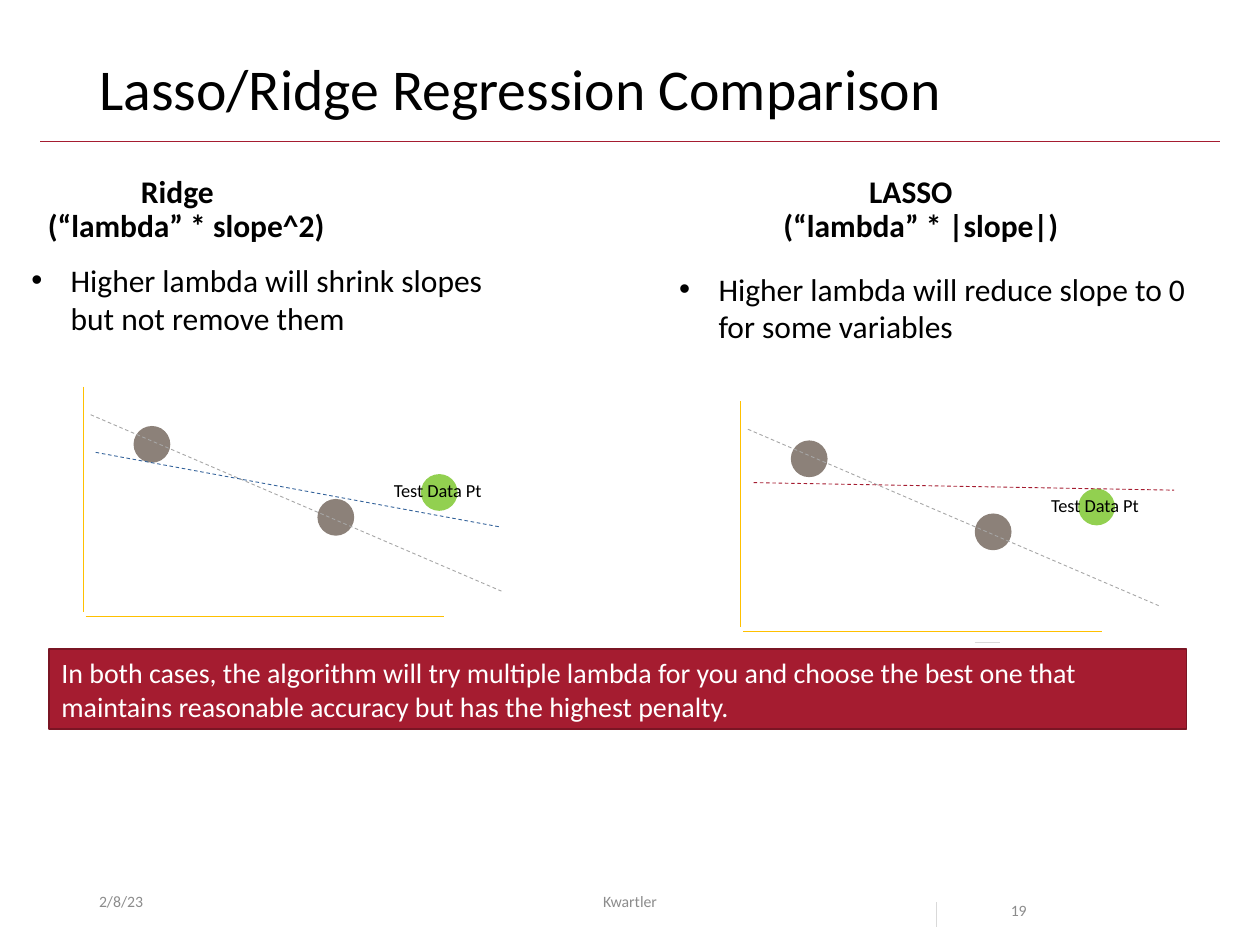
"""Build the Lasso and Ridge regression comparison slide."""
from lxml import etree
from pptx import Presentation
from pptx.dml.color import RGBColor
from pptx.enum.dml import MSO_LINE
from pptx.enum.shapes import MSO_CONNECTOR, MSO_SHAPE
from pptx.enum.text import MSO_ANCHOR, PP_ALIGN
from pptx.oxml.ns import qn
from pptx.util import Pt

prs = Presentation()
prs.slide_width, prs.slide_height = Pt(720), Pt(540)
s = prs.slides.add_slide(prs.slide_layouts[5])


def color(value):
    return RGBColor.from_string(value)


def write(sp, text, size=18, fill="000000", bold=False, align=PP_ALIGN.LEFT,
          anchor=MSO_ANCHOR.TOP, wrap=True, spacing=None, bullet=False):
    tf = sp.text_frame
    tf.word_wrap, tf.vertical_anchor = wrap, anchor
    p = tf.paragraphs[0]
    p.alignment, p.line_spacing = align, spacing
    r = p.add_run()
    r.text = text
    r.font.name, r.font.size, r.font.bold = "Calibri", Pt(size), bold
    r.font.color.rgb = color(fill)
    if bullet:
        pPr = p._p.get_or_add_pPr()
        pPr.set("marL", str(Pt(22.5)))
        pPr.set("indent", str(-Pt(22.5)))
        etree.SubElement(pPr, qn("a:buFont")).set("typeface", "Arial")
        etree.SubElement(pPr, qn("a:buChar")).set("char", "•")


def line(x1, y1, x2, y2, fill, dash=False):
    cn = s.shapes.add_connector(MSO_CONNECTOR.STRAIGHT, Pt(x1), Pt(y1), Pt(x2), Pt(y2))
    cn.line.color.rgb, cn.line.width = color(fill), Pt(0.5)
    if dash:
        cn.line.dash_style = MSO_LINE.DASH
    etree.SubElement(cn._element.spPr, qn("a:effectLst"))


title = s.shapes.title
title.left, title.top, title.width, title.height = Pt(49.5), Pt(28.8), Pt(621), Pt(46.8)
write(title, "Lasso/Ridge Regression Comparison", size=33, spacing=0.9,
      anchor=MSO_ANCHOR.MIDDLE)
line(23, 80.6, 697, 80.6, "A51C30")

footer = dict(size=9, fill="8C8C8C")
heading = dict(bold=True, wrap=False)
texts = [
    ("2/8/23", 49.5, 500.5, 162, 28.8, dict(footer, anchor=MSO_ANCHOR.MIDDLE)),
    ("Kwartler", 238.5, 500.5, 243, 28.8,
     dict(footer, anchor=MSO_ANCHOR.MIDDLE, align=PP_ALIGN.CENTER)),
    ("19", 570.5, 500.5, 67.5, 28.8, dict(footer, spacing=2.0)),
    ("Ridge", 73.5, 95, 56, 29, heading),
    ("(“lambda” * slope^2)", 20.3, 114, 174, 29, heading),
    ("LASSO", 489.6, 95, 62.6, 29, heading),
    ("(“lambda” * |slope|)", 440.6, 114, 173, 29, heading),
    ("Higher lambda will shrink slopes but not remove them",
     10.8, 145.5, 288, 51, dict(bullet=True)),
    ("Higher lambda will reduce slope to 0 for some variables",
     381, 150.5, 309, 51, dict(bullet=True)),
]
for text, x, y, w, h, style in texts:
    write(s.shapes.add_textbox(Pt(x), Pt(y), Pt(w), Pt(h)), text, **style)

charts = [
    (0, 0, (54.7, 258.5, 285.1, 301), "33629A"),
    (375.6, 8.3, (430.6, 275.8, 671, 280.1), "A51C30"),
]
for dx, dy, fit, fit_color in charts:
    line(47.5 + dx, 221 + dy, 47.5 + dx, 350 + dy, "FFC000")
    line(49 + dx, 352.5 + dy, 254 + dx, 352.5 + dy, "FFC000")
    for x, y, fill in [(76.3, 243.4, "8C8179"), (181.4, 285.1, "8C8179"),
                       (240.5, 270.9, "92D050")]:
        dot = s.shapes.add_shape(MSO_SHAPE.OVAL, Pt(x + dx), Pt(y + dy), Pt(21), Pt(21))
        dot.shadow.inherit = False
        dot.fill.solid()
        dot.fill.fore_color.rgb = color(fill)
        dot.line.fill.background()
    line(51.8 + dx, 237 + dy, 286.5 + dx, 337.8 + dy, "A6A6A6", dash=True)
    label = s.shapes.add_textbox(Pt(218 + dx), Pt(270.5 + dy), Pt(67), Pt(20))
    write(label, "Test Data Pt", size=10.5, wrap=False)
    line(*fit, fit_color, dash=True)

box = s.shapes.add_shape(MSO_SHAPE.RECTANGLE, Pt(28), Pt(370.8), Pt(650), Pt(46))
box.shadow.inherit = False
box.fill.solid()
box.fill.fore_color.rgb = color("A51C30")
box.line.color.rgb, box.line.width = color("7A1524"), Pt(1)
write(box, "In both cases, the algorithm will try multiple lambda for you and choose the "
      "best one that maintains reasonable accuracy but has the highest penalty.",
      size=16, fill="FFFFFF", anchor=MSO_ANCHOR.MIDDLE)

line(535, 515.5, 535, 530, "D9D9D9")
line(557, 367.2, 571.5, 367.2, "D9D9D9")

prs.save("out.pptx")
